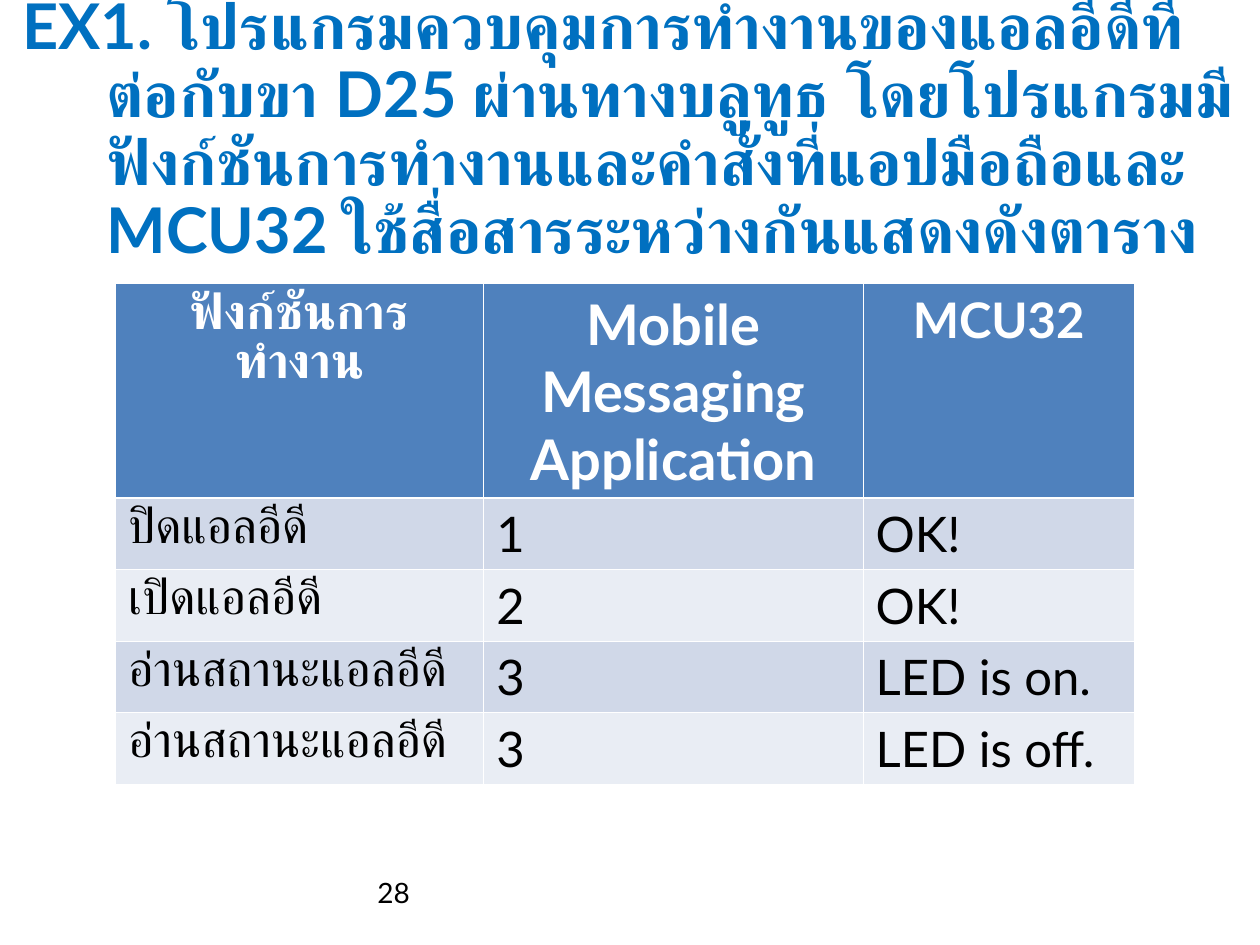
"""Build the slide with the LED command table for exercise 1."""
import pptx
import pptx.dml.color
import pptx.enum.text
import pptx.oxml
import pptx.oxml.ns
import pptx.util

Cm = pptx.util.Cm
Pt = pptx.util.Pt
RGBColor = pptx.dml.color.RGBColor
PP_ALIGN = pptx.enum.text.PP_ALIGN
MIDDLE = pptx.enum.text.MSO_ANCHOR.MIDDLE

BLUE = RGBColor(0x00, 0x70, 0xC0)
BLACK = RGBColor(0x00, 0x00, 0x00)
WHITE = RGBColor(0xFF, 0xFF, 0xFF)
HEADER = RGBColor(0x4F, 0x81, 0xBD)
BANDS = [RGBColor(0xE9, 0xED, 0xF4), RGBColor(0xD0, 0xD8, 0xE8)]

TITLE = [
    ("EX1. โปรแกรมควบคุมการทำงานของแอลอีดีที่ต่อกับขา D25 ผ่านทางบลูทูธ "
     "โดยโปรแกรมมีฟังก์ชันการทำงานและ", "Lato"),
    ("คำสั่งที่แอปมือถือและ ", "Calibri"),
    ("MCU32 ใช้สื่อสารระหว่างกันแสดงดังตาราง", "Lato"),
]
ROWS = [
    ("ฟังก์ชันการทำงาน", "Mobile Messaging Application", "MCU32"),
    ("ปิดแอลอีดี", "1", "OK!"),
    ("เปิดแอลอีดี", "2", "OK!"),
    ("อ่านสถานะแอลอีดี", "3", "LED is on."),
    ("อ่านสถานะแอลอีดี", "3", "LED is off."),
]
PAGE = "28"
COL_WIDTHS = [7.42, 7.65, 5.46]
ROW_HEIGHTS = [4.32] + [1.44] * (len(ROWS) - 1)
THIN, THICK = 0.45, 1.47


def style(r, size, color, bold=False, name="Lato"):
    r.font.size = Pt(size)
    r.font.name = name
    r.font.bold = bold
    r.font.color.rgb = color


def add_text(s, box, runs, size, color, bold=False):
    tf = s.shapes.add_textbox(*map(Cm, box)).text_frame
    tf.word_wrap = True
    tf.vertical_anchor = MIDDLE
    p = tf.paragraphs[0]
    for text, name in runs:
        r = p.add_run()
        r.text = text
        style(r, size, color, bold, name)
    return p


def add_borders(cell, top, bottom):
    tcPr = cell._tc.get_or_add_tcPr()
    widths = {"lnL": THIN, "lnR": THIN, "lnT": top, "lnB": bottom}
    for i, (tag, width) in enumerate(widths.items()):
        tcPr.insert(i, pptx.oxml.parse_xml(
            f'<a:{tag} {pptx.oxml.ns.nsdecls("a")} w="{Pt(width)}">'
            f'<a:solidFill><a:srgbClr val="{WHITE}"/></a:solidFill></a:{tag}>'))


def add_commands(s):
    table = s.shapes.add_table(
        len(ROWS), len(COL_WIDTHS), Cm(2.33), Cm(5.72),
        Cm(sum(COL_WIDTHS)), Cm(sum(ROW_HEIGHTS))).table
    for column, width in zip(table.columns, COL_WIDTHS):
        column.width = Cm(width)
    for i, row in enumerate(ROWS):
        table.rows[i].height = Cm(ROW_HEIGHTS[i])
        head = i == 0
        for j, text in enumerate(row):
            cell = table.cell(i, j)
            cell.text = text
            cell.fill.solid()
            cell.fill.fore_color.rgb = HEADER if head else BANDS[i % 2]
            add_borders(cell, THICK if i == 1 else THIN, THICK if head else THIN)
            p = cell.text_frame.paragraphs[0]
            p.alignment = PP_ALIGN.CENTER if head else PP_ALIGN.LEFT
            style(p.runs[0], 32 if head and j == 1 else 28,
                  WHITE if head else BLACK, head)


def main():
    prs = pptx.Presentation()
    prs.slide_width, prs.slide_height = Cm(25.4), Cm(19.05)
    s = prs.slides.add_slide(prs.slide_layouts[6])
    p = add_text(s, (3.23, 17.35, 5.28, 1.27), [(PAGE, "Lato")], 16, BLACK)
    p.alignment = PP_ALIGN.RIGHT
    p = add_text(s, (0.2, 0.2, 25.1, 4.88), TITLE, 36, BLUE, True)
    p.line_spacing = 0.9
    pPr = p._p.get_or_add_pPr()
    pPr.set("marL", str(Cm(1.7)))
    pPr.set("indent", str(-Cm(1.7)))
    add_commands(s)
    prs.save("out.pptx")


if __name__ == "__main__":
    main()
